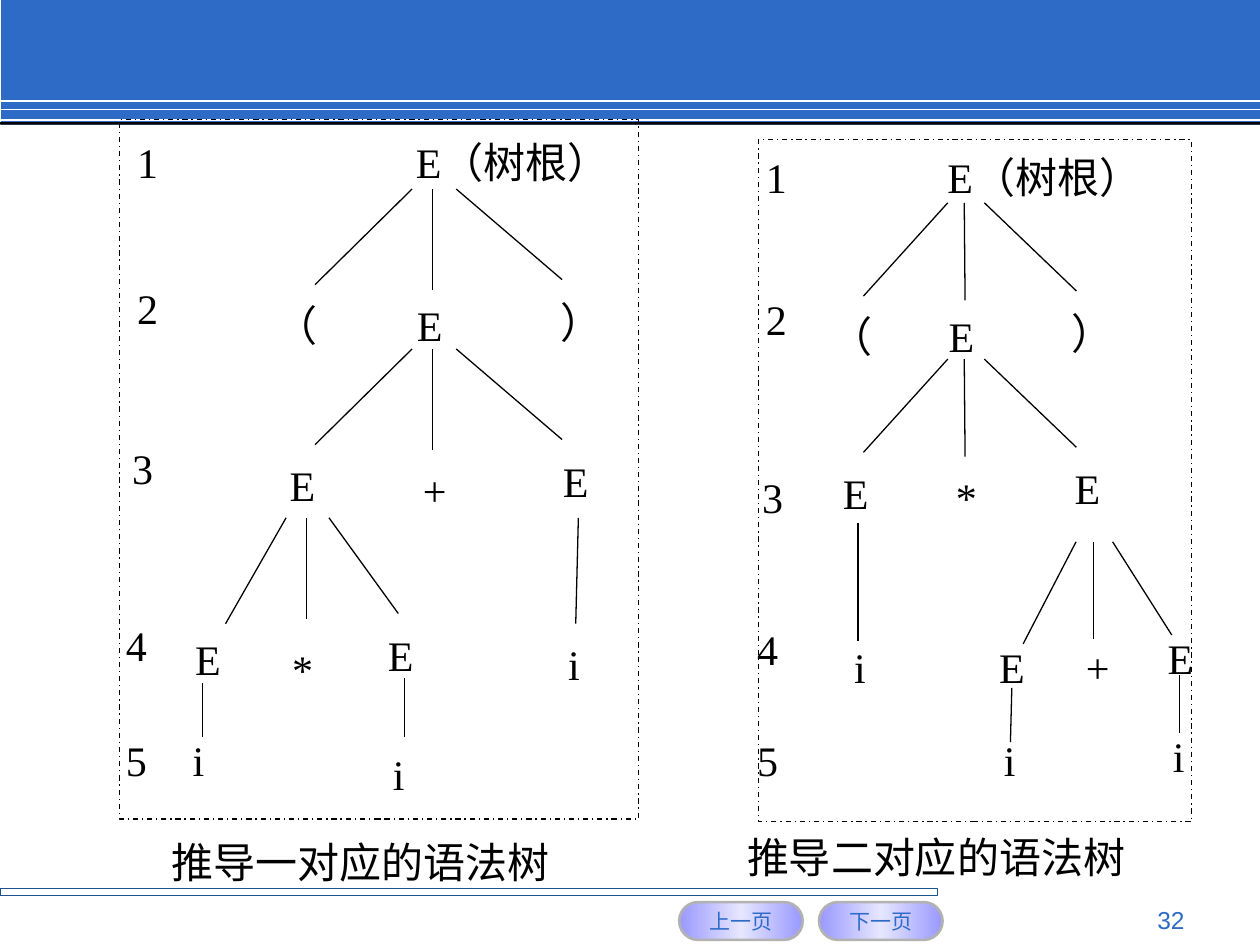
from copy import deepcopy

from lxml import etree
from pptx import Presentation
from pptx.dml.color import RGBColor
from pptx.enum import dml, shapes, text
from pptx.oxml import ns
from pptx.util import Pt

HUES = {
    "blue": "2D6BC7", "navy": "1D528D", "black": "000000", "white": "FFFFFF",
    "lilac": "9999FF", "pale": "E6E6FF", "grey": "B2B2B2",
}
ALIGN = text.PP_ALIGN
SERIF = "Times New Roman"

LEFT = {
    "frame": (68.4, 68.4, 296.6, 399.6),
    "root": (236.2, 74.2, 123.8, 1.4),
    "size": (49, 44.6),
    "span": 72,
    "nodes": [
        ("（", 150.5, 167.8), ("E", 158.4, 259.2), ("E", 104.4, 358.6),
        ("*", 159.8, 364.3), ("E", 214.6, 356.4), ("i", 103, 416.2),
        ("i", 217.4, 424.1), ("i", 317.5, 361.4),
        ("1", 71.3, 74.2), ("2", 71.3, 157.7), ("3", 68.4, 249.1),
        ("4", 64.8, 350.6), ("5", 64.8, 416.2),
    ],
    "mids": [("E", 209.5, 167.8), ("）", 296.6, 165.6),
             ("+", 212.4, 262.1), ("E", 293, 257)],
    "wide": [(-11.5, -67, 54.7), (0, 0, 57.6), (13.7, 74.2, 51.8)],
    "slim": [(-11.5, -46.1, 60.5), (0, 0, 57.6), (13, 52.6, 54.7)],
    "fans": [("wide", 247, 108), ("wide", 247, 199.4), ("slim", 175, 295.9)],
    "stems": [(115.9, 390.2, 115.9, 421.2), (231.1, 387.4, 231.1, 421.2),
              (330.5, 295.9, 329, 356.4)],
}
RIGHT = {
    "frame": (433.4, 79.9, 247.7, 389.5),
    "root": (537.1, 82.8, 136.8, 4.3),
    "size": (42.5, 43.2),
    "span": 61.9,
    "nodes": [
        ("（", 467.3, 174.2), ("E", 474.5, 263.5), ("E", 563.8, 362.9),
        ("+", 613.4, 362.9), ("E", 660.2, 357.8), ("i", 566.6, 416.2),
        ("i", 663.1, 414), ("i", 481, 362.9),
        ("1", 430.6, 82.8), ("2", 430.6, 164.2), ("3", 428.4, 265.7),
        ("4", 425.5, 352.8), ("5", 425.5, 416.2),
    ],
    "mids": [("E", 518.4, 174.2), ("）", 593.3, 172.1),
             ("*", 521.3, 265.7), ("E", 590.4, 260.6)],
    "wide": [(-9.4, -57.6, 53.3), (0, 0.5, 55.8), (11.5, 64.1, 50.4)],
    "slim": [(-10.1, -40.3, 58.3), (0, 0, 55.4), (10.8, 44.6, 53.3)],
    "fans": [("wide", 551, 115.9), ("wide", 551, 205.2), ("slim", 625, 309.6)],
    "stems": [(578.2, 393.1, 577.4, 424.1), (673.9, 385.9, 673.9, 419),
              (490.3, 298.8, 490.3, 366.5)],
}


def tint(name):
    return RGBColor.from_string(HUES[name])


def write(frame, words, *, size=24, font=SERIF, hue="black",
          align=ALIGN.JUSTIFY, inset=7.2, wrap=True):
    frame.word_wrap = wrap
    frame.margin_left = frame.margin_right = Pt(inset)
    frame.margin_top = frame.margin_bottom = Pt(3.6)
    line = frame.paragraphs[0]
    line.alignment = align
    run = line.add_run()
    run.text = words
    run.font.size = Pt(size)
    run.font.name = font
    run.font.color.rgb = tint(hue)


def label(slide, words, x, y, w, h, **style):
    box = slide.shapes.add_textbox(Pt(x), Pt(y), Pt(w), Pt(h))
    write(box.text_frame, words, **style)


def block(slide, x, y, w, h, fill=None, edge=None, width=0.75, dash=None,
          kind=shapes.MSO_SHAPE.RECTANGLE):
    box = slide.shapes.add_shape(kind, Pt(x), Pt(y), Pt(w), Pt(h))
    box.shadow.inherit = False
    if fill:
        box.fill.solid()
        box.fill.fore_color.rgb = tint(fill)
    else:
        box.fill.background()
    if edge:
        box.line.color.rgb = tint(edge)
        box.line.width = Pt(width)
        box.line.dash_style = dash
    else:
        box.line.fill.background()
    return box


def stroke(slide, x1, y1, x2, y2, hue="black", width=0.75):
    line = slide.shapes.add_connector(
        shapes.MSO_CONNECTOR.STRAIGHT, Pt(x1), Pt(y1), Pt(x2), Pt(y2))
    line.line.color.rgb = tint(hue)
    line.line.width = Pt(width)
    etree.SubElement(line._element.spPr, ns.qn("a:effectLst"))


def button(slide, words, x):
    pill = block(slide, x, 515.5, 70.6, 21.6, edge="grey", width=1.5,
                 kind=shapes.MSO_SHAPE.ROUNDED_RECTANGLE)
    pill.adjustments[0] = 0.5
    pill.fill.gradient()
    pill.fill.gradient_angle = 0
    stops = pill._element.spPr.find(".//" + ns.qn("a:gsLst"))
    stops.insert(1, deepcopy(stops[0]))
    for stop, hue, place in zip(pill.fill.gradient_stops,
                                ("lilac", "pale", "lilac"), (0, 0.5, 1)):
        stop.color.rgb = tint(hue)
        stop.color.brightness = 0
        stop.position = place
    pill.text_frame.vertical_anchor = text.MSO_ANCHOR.MIDDLE
    write(pill.text_frame, words, size=12, font="Arial", hue="blue",
          align=ALIGN.CENTER, wrap=False)


def tree(slide, data):
    w, h = data["size"]
    x, y, span, inset = data["root"]
    label(slide, "E（树根）", x, y, span, h, inset=inset)
    for words, x, y in data["nodes"]:
        label(slide, words, x, y, w, h)
    for words, x, y in data["mids"]:
        label(slide, words, x, y, data["span"], h, align=ALIGN.CENTER)
    for kind, x, y in data["fans"]:
        for near, far, drop in data[kind]:
            stroke(slide, x + near, y, x + far, y + drop)
    for ends in data["stems"]:
        stroke(slide, *ends)
    block(slide, *data["frame"], edge="black", dash=dml.MSO_LINE.DASH_DOT)


def header(slide):
    block(slide, 0.7, 0, 719.3, 71.3, fill="blue")
    for y in (57.6, 62.6, 68.4):
        stroke(slide, 0, y, 720, y, hue="white", width=1)
    block(slide, 0, 69.8, 720, 1.4, fill="black")


def footer(slide):
    block(slide, 0, 507.6, 535.7, 4.3, edge="navy")
    button(slide, "上一页", 388.1)
    button(slide, "下一页", 468)
    label(slide, "32", 516.2, 513.4, 167.8, 19.4, size=14, font="Arial",
          hue="blue", align=ALIGN.RIGHT)


def main():
    deck = Presentation()
    deck.slide_width, deck.slide_height = Pt(720), Pt(540)
    slide = deck.slides.add_slide(deck.slide_layouts[6])
    header(slide)
    footer(slide)
    for words, x, y in (("推导一对应的语法树", 90.7, 474.5),
                        ("推导二对应的语法树", 419.8, 471.6)):
        label(slide, words, x, y, 232.6, 36, font="Arial", align=ALIGN.LEFT)
    tree(slide, RIGHT)
    tree(slide, LEFT)
    deck.save("out.pptx")


if __name__ == "__main__":
    main()
